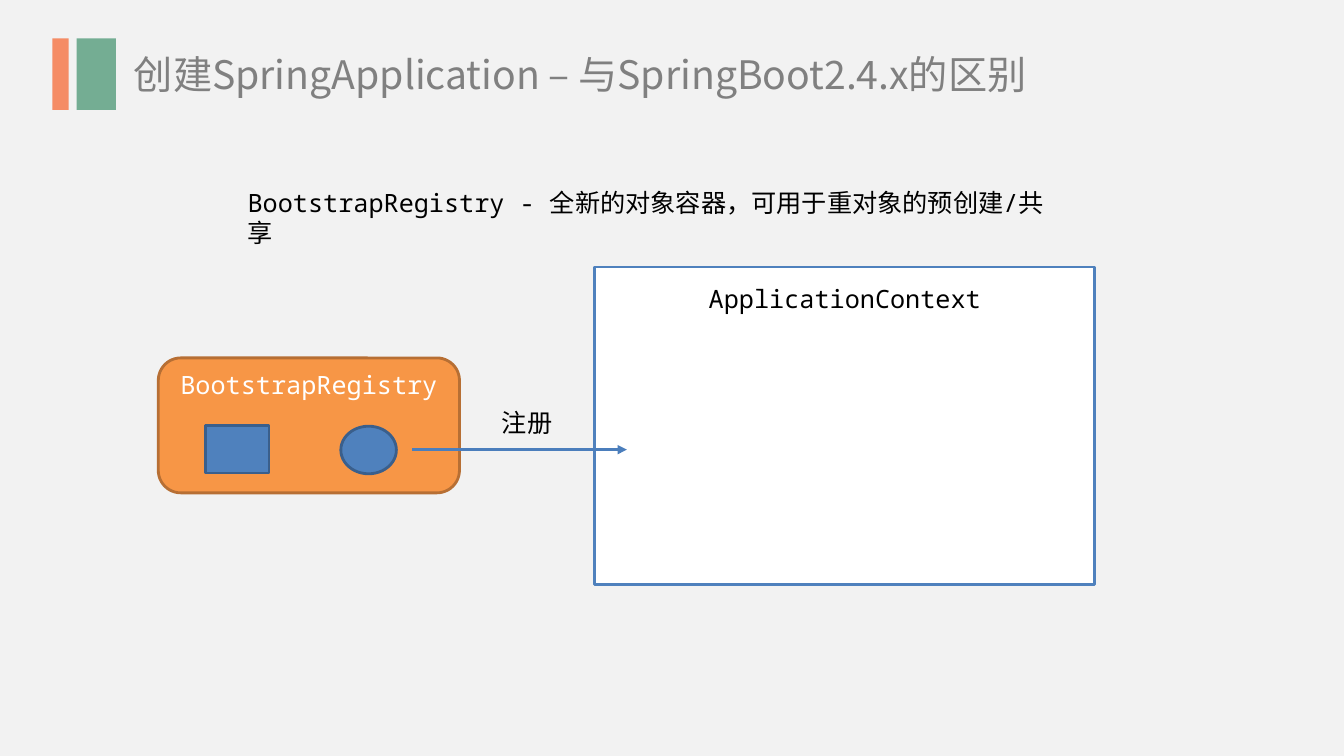
from lxml import etree
from pptx import Presentation
from pptx.dml.color import RGBColor
from pptx.enum import shapes, text
from pptx.oxml.ns import qn
from pptx.util import Cm, Pt

CJK_FONT = "Noto Sans CJK SC"
MONO_FONT = "Noto Sans Mono"
BLUE = "4F81BD"
DARK_BLUE = "3A5F8C"
RECTANGLE = shapes.MSO_SHAPE.RECTANGLE


def color(value):
    return RGBColor.from_string(value)


def place(shape, left, top, width, height):
    shape.left, shape.top = Cm(left), Cm(top)
    shape.width, shape.height = Cm(width), Cm(height)


def write(shape, content, font_color, size=18, font=MONO_FONT, align="LEFT"):
    """Put one top-anchored paragraph into the shape."""
    frame = shape.text_frame
    frame.word_wrap = True
    frame.auto_size = text.MSO_AUTO_SIZE.NONE
    frame.vertical_anchor = text.MSO_ANCHOR.TOP
    paragraph = frame.paragraphs[0]
    paragraph.alignment = getattr(text.PP_ALIGN, align)
    run = paragraph.add_run()
    run.text = content
    run.font.name = font
    run.font.size = Pt(size)
    run.font.color.rgb = color(font_color)
    east_asian = etree.SubElement(run.font._element, qn("a:ea"))
    east_asian.set("typeface", CJK_FONT)


def add_box(parent, kind, bounds, fill, line=None):
    shape = parent.add_shape(kind, *map(Cm, bounds))
    shape.shadow.inherit = False
    shape.fill.solid()
    shape.fill.fore_color.rgb = color(fill)
    if line:
        shape.line.color.rgb = color(line)
        shape.line.width = Pt(2)
    else:
        shape.line.fill.background()
    return shape


def add_label(slide, bounds, content, align="LEFT"):
    label = slide.shapes.add_textbox(*map(Cm, bounds))
    write(label, content, "000000", align=align)


def add_arrow(slide, start, end):
    arrow = slide.shapes.add_connector(
        shapes.MSO_CONNECTOR.STRAIGHT, *map(Cm, start + end))
    arrow.line.color.rgb = color("4B7EBC")
    arrow.line.width = Pt(2.25)
    head = etree.SubElement(arrow.line._get_or_add_ln(), qn("a:tailEnd"))
    head.set("type", "triangle")
    etree.SubElement(arrow._element.spPr, qn("a:effectLst"))


def add_title(slide, content):
    title = slide.shapes.title
    place(title, 3.12, 1.14, 23.72, 1.45)
    write(title, content, "808080", size=28, font=CJK_FONT)
    bars = slide.shapes.add_group_shape().shapes
    add_box(bars, RECTANGLE, (1.32, 0.97, 0.41, 1.8), "F58C65")
    add_box(bars, RECTANGLE, (1.93, 0.97, 0.99, 1.8), "74AD93")


def main():
    presentation = Presentation()
    presentation.slide_width, presentation.slide_height = Cm(33.87), Cm(19.05)
    slide = presentation.slides.add_slide(presentation.slide_layouts[5])
    slide.background.fill.solid()
    slide.background.fill.fore_color.rgb = color("F2F2F2")

    add_title(slide, "创建SpringApplication – 与SpringBoot2.4.x的区别")
    add_label(slide, (5.99, 4.6, 20.73, 1.02),
              "BootstrapRegistry - 全新的对象容器，可用于重对象的预创建/共享")

    registry = add_box(slide.shapes, shapes.MSO_SHAPE.ROUNDED_RECTANGLE,
                       (3.99, 9.02, 7.59, 3.4), "F79646", "B76F34")
    write(registry, "BootstrapRegistry", "FFFFFF", align="CENTER")
    context = add_box(slide.shapes, RECTANGLE,
                      (14.99, 6.73, 12.6, 8), "FFFFFF", BLUE)
    write(context, "ApplicationContext", "000000", align="CENTER")
    context.text_frame.margin_top = Cm(0.41)

    add_box(slide.shapes, shapes.MSO_SHAPE.OVAL,
            (8.59, 10.74, 1.4, 1.2), BLUE, DARK_BLUE)
    add_box(slide.shapes, RECTANGLE,
            (5.18, 10.72, 1.6, 1.2), BLUE, DARK_BLUE)
    add_arrow(slide, (10.39, 11.33), (15.8, 11.33))
    add_label(slide, (11.99, 10.13, 2.59, 1.02), "注册", align="CENTER")
    presentation.save("out.pptx")


if __name__ == "__main__":
    main()
